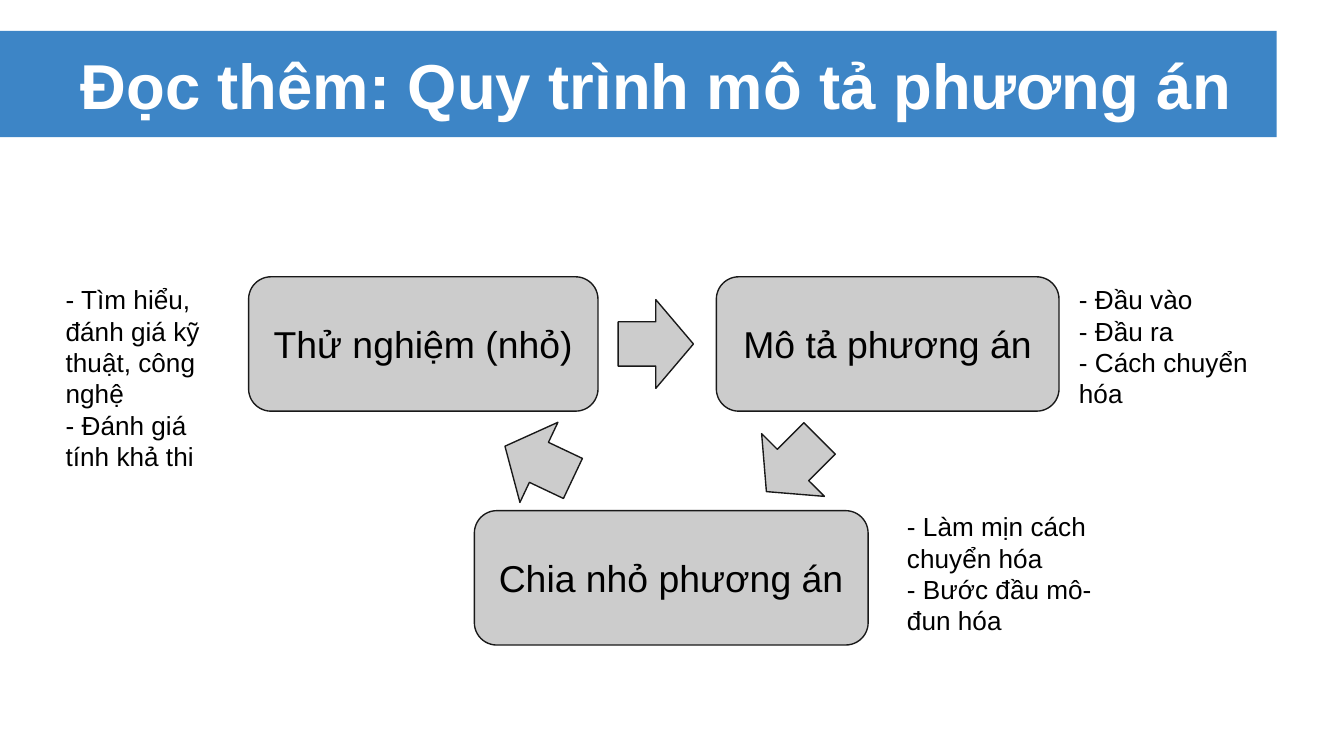
from pptx import Presentation
from pptx.dml.color import RGBColor
from pptx.enum.shapes import MSO_SHAPE
from pptx.enum.text import MSO_ANCHOR, MSO_AUTO_SIZE, PP_ALIGN
from pptx.util import Inches, Pt

COLORS = {
    "band": "3D85C6",
    "title": "FFFFFF",
    "step": "CCCCCC",
    "outline": "191919",
    "text": "000000",
}
FRAME_FORMAT = {
    "margin_left": Inches(0.1),
    "margin_right": Inches(0.1),
    "margin_top": Inches(0.1),
    "margin_bottom": Inches(0.1),
    "word_wrap": True,
    "auto_size": MSO_AUTO_SIZE.NONE,
}

# Each box is left, top, width, height in inches.
HEADER_BOX = (0, 0.23, 9.5, 0.79)
CYCLE_BOX = (0.39, 2.01, 9.11, 2.99)

# Places below are relative to the cycle box.
STEPS = [
    ("Thử nghiệm (nhỏ)", (1.46, 0.05, 2.6, 1)),
    ("Mô tả phương án", (4.94, 0.05, 2.55, 1)),
    ("Chia nhỏ phương án", (3.14, 1.79, 2.93, 1)),
]
ARROW_SIZE = (0.56, 0.66)
ARROWS = [(4.21, 0.22, 0), (5.23, 1.12, 135), (3.34, 1.1, 205.4)]
NOTES = [
    (["- Đầu vào", "- Đầu ra", "- Cách chuyển hóa"], (7.54, 0, 1.57, 1.3)),
    (["- Tìm hiểu, đánh giá kỹ thuật, công nghệ", "- Đánh giá tính khả thi"],
     (0, 0, 1.42, 1.3)),
    (["- Làm mịn cách chuyển hóa", "- Bước đầu mô-đun hóa"],
     (6.26, 1.69, 1.78, 1.3)),
]


def rgb(name):
    return RGBColor.from_string(COLORS[name])


def write(frame, lines, size, color="text", align=PP_ALIGN.LEFT,
          anchor=MSO_ANCHOR.TOP, bold=False):
    """Fill a text frame with one paragraph for each line."""
    for name, value in FRAME_FORMAT.items():
        setattr(frame, name, value)
    frame.vertical_anchor = anchor
    frame.text = "\n".join(lines)
    font_format = {"name": "Arial", "size": Pt(size), "bold": bold}
    for paragraph in frame.paragraphs:
        paragraph.alignment = align
        font = paragraph.runs[0].font
        for name, value in font_format.items():
            setattr(font, name, value)
        font.color.rgb = rgb(color)


def add_filled(slide, preset, box, fill, outline=None):
    shape = slide.shapes.add_shape(preset, *map(Inches, box))
    shape.shadow.inherit = False
    shape.fill.solid()
    shape.fill.fore_color.rgb = rgb(fill)
    if outline:
        shape.line.color.rgb = rgb(outline)
        shape.line.width = Pt(0.75)
    else:
        shape.line.fill.background()
    return shape


def add_header(slide, box, heading):
    """Put the title on a colour band that lies behind it."""
    left, top, width, height = box
    indent = 0.5
    band = add_filled(slide, MSO_SHAPE.RECTANGLE, box, "band")
    title = slide.shapes.title
    title.element.addprevious(band.element)
    title.left, title.top = Inches(left + indent), Inches(top)
    title.width, title.height = Inches(width - indent), Inches(height)
    write(title.text_frame, [heading], 34, "title",
          anchor=MSO_ANCHOR.MIDDLE, bold=True)


def add_cycle(slide, box):
    """Draw the three steps, the arrows between them and their notes."""
    left, top = box[:2]

    def place(x, y, width, height):
        return left + x, top + y, width, height

    for label, step_box in STEPS:
        step = add_filled(slide, MSO_SHAPE.ROUNDED_RECTANGLE,
                          place(*step_box), "step", "outline")
        write(step.text_frame, [label], 20, align=PP_ALIGN.CENTER,
              anchor=MSO_ANCHOR.MIDDLE)
    for x, y, angle in ARROWS:
        arrow = add_filled(slide, MSO_SHAPE.RIGHT_ARROW,
                           place(x, y, *ARROW_SIZE), "step", "outline")
        arrow.rotation = angle
    for lines, note_box in NOTES:
        note = slide.shapes.add_textbox(*map(Inches, place(*note_box)))
        write(note.text_frame, lines, 14)


def main():
    deck = Presentation()
    deck.slide_width = Inches(10)
    deck.slide_height = deck.slide_width * 9 // 16
    slide = deck.slides.add_slide(deck.slide_layouts.get_by_name("Title Only"))
    add_header(slide, HEADER_BOX, "Đọc thêm: Quy trình mô tả phương án")
    add_cycle(slide, CYCLE_BOX)
    deck.save("out.pptx")


if __name__ == "__main__":
    main()
